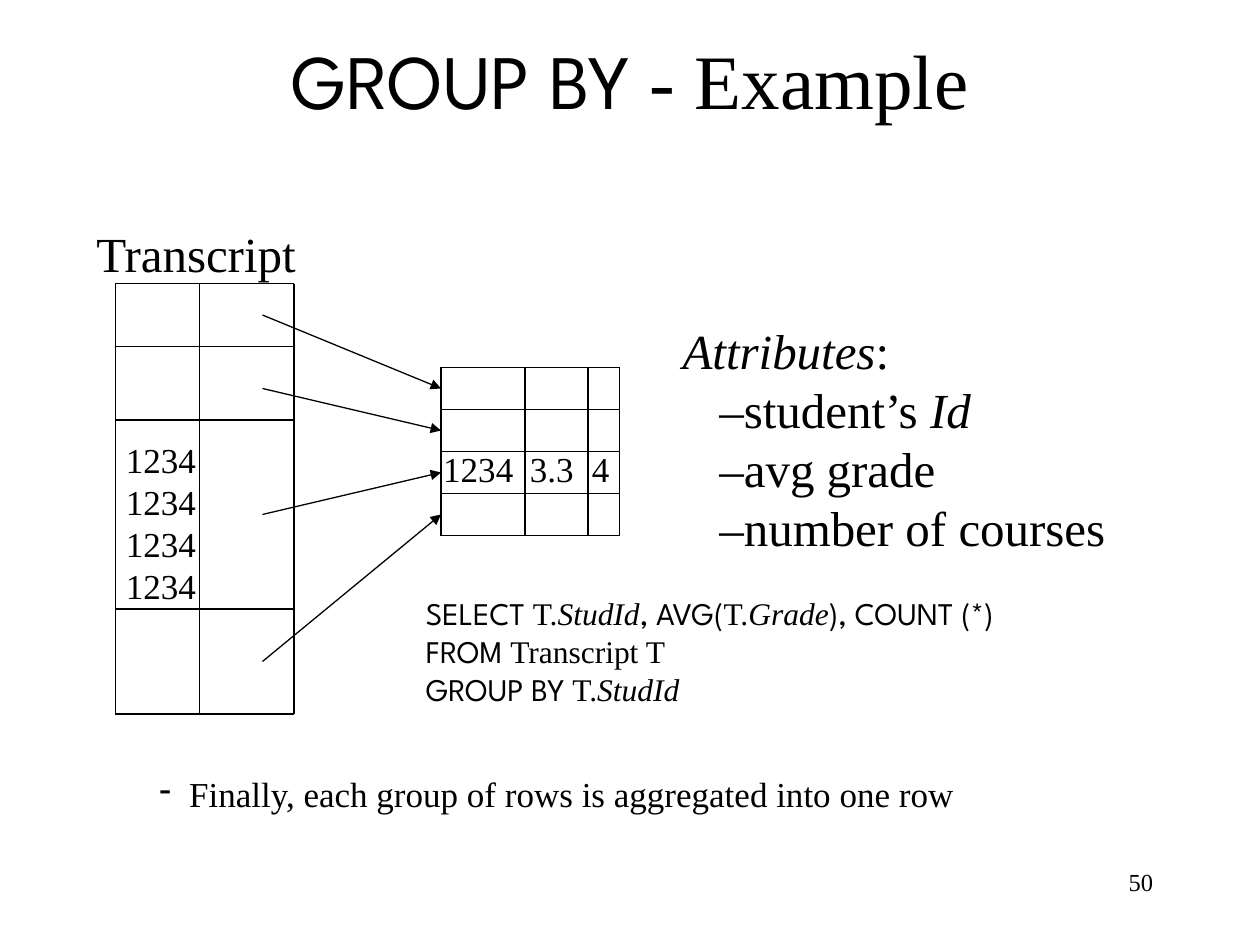
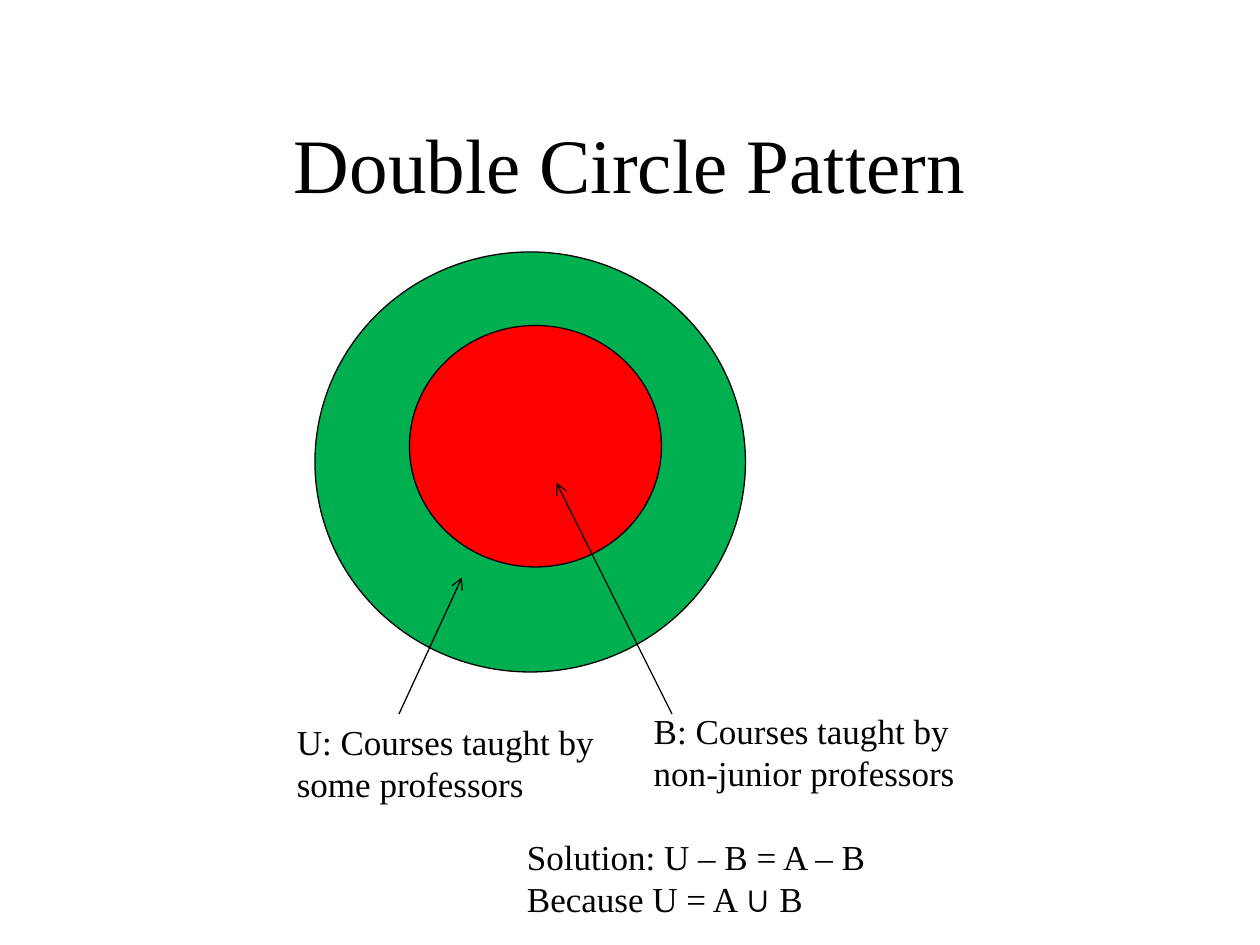
from dataclasses import dataclass
from typing import NamedTuple

from lxml.etree import SubElement
from pptx import Presentation
from pptx.dml.color import RGBColor
from pptx.enum.shapes import MSO_CONNECTOR, MSO_SHAPE
from pptx.enum.text import MSO_ANCHOR, MSO_AUTO_SIZE, PP_ALIGN
from pptx.oxml.ns import qn
from pptx.slide import Slide
from pptx.util import Pt

BLACK = RGBColor(0x00, 0x00, 0x00)
WHITE = RGBColor(0xFF, 0xFF, 0xFF)
GREEN = RGBColor(0x00, 0xB0, 0x50)
RED = RGBColor(0xFF, 0x00, 0x00)
SERIF = "Times New Roman"
SANS = "League Spartan"
STROKE = Pt(0.75)


class Run(NamedTuple):
    text: str
    font: str = SERIF
    slant: bool = False


@dataclass
class Line:
    runs: list[Run]
    indent: float = 0
    bullet: str = ""
    tabs: tuple[float, ...] = ()


@dataclass
class Box:
    left: float
    top: float
    width: float
    height: float
    lines: list[Line]
    size: float = 20
    align: PP_ALIGN = PP_ALIGN.LEFT
    wrap: bool = False
    middle: bool = False


class Arrow(NamedTuple):
    start: tuple[float, float]
    end: tuple[float, float]
    head: str = ""


class Grid(NamedTuple):
    cols: list[float]
    rows: list[float]


class Disc(NamedTuple):
    left: float
    top: float
    width: float
    height: float
    color: RGBColor


def plain(*texts: str, indent: float = 0) -> list[Line]:
    return [Line([Run(text)], indent) for text in texts]


def draw_box(slide: Slide, box: Box) -> None:
    shape = slide.shapes.add_textbox(Pt(box.left), Pt(box.top), Pt(box.width), Pt(box.height))
    frame = shape.text_frame
    frame.word_wrap = box.wrap
    if box.middle:
        frame.vertical_anchor = MSO_ANCHOR.MIDDLE
    else:
        frame.auto_size = MSO_AUTO_SIZE.SHAPE_TO_FIT_TEXT
    for place, line in enumerate(box.lines):
        para = frame.paragraphs[0] if place == 0 else frame.add_paragraph()
        para.alignment = box.align
        props = para._p.get_or_add_pPr()
        if line.indent:
            props.set("marL", str(Pt(line.indent)))
        if line.bullet:
            props.set("indent", str(-Pt(line.indent)))
            SubElement(props, qn("a:buChar"), char=line.bullet)
        if line.tabs:
            stops = SubElement(props, qn("a:tabLst"))
            for stop in line.tabs:
                SubElement(stops, qn("a:tab"), pos=str(Pt(stop)), algn="l")
        for part in line.runs:
            run = para.add_run()
            run.text = part.text
            run.font.name = part.font
            run.font.size = Pt(box.size)
            run.font.italic = part.slant
            run.font.color.rgb = BLACK


def draw_title(slide: Slide, top: float, runs: list[Run]) -> None:
    draw_box(slide, Box(54, top, 612, 90, [Line(runs)], 44, PP_ALIGN.CENTER, True, True))


def draw_line(slide: Slide, item: Arrow) -> None:
    ends = [Pt(value) for value in (*item.start, *item.end)]
    line = slide.shapes.add_connector(MSO_CONNECTOR.STRAIGHT, *ends)
    line.line.color.rgb = BLACK
    line.line.width = STROKE
    props = line._element.spPr
    if item.head:
        SubElement(props.find(qn("a:ln")), qn("a:tailEnd"), type=item.head)
    SubElement(props, qn("a:effectLst"))


def draw_grid(slide: Slide, grid: Grid) -> None:
    for x in grid.cols:
        draw_line(slide, Arrow((x, grid.rows[0]), (x, grid.rows[-1])))
    for y in grid.rows:
        draw_line(slide, Arrow((grid.cols[0], y), (grid.cols[-1], y)))


def draw_disc(slide: Slide, disc: Disc) -> None:
    shape = slide.shapes.add_shape(
        MSO_SHAPE.OVAL, Pt(disc.left), Pt(disc.top), Pt(disc.width), Pt(disc.height)
    )
    shape.shadow.inherit = False
    shape.fill.solid()
    shape.fill.fore_color.rgb = disc.color
    shape.line.color.rgb = BLACK
    shape.line.width = STROKE


def build_group(slide: Slide) -> None:
    source = Grid([66, 114, 168], [162, 198, 240, 348, 408])
    result = Grid([252, 300, 336, 354], [210 + 24 * row for row in range(5)])
    draw_title(slide, 0, [Run("GROUP BY", SANS), Run(" - Example")])
    for grid in (source, result):
        draw_grid(slide, grid)
    for row, start in enumerate((180, 222, 294, 378)):
        end = result.rows[row] + 12
        draw_line(slide, Arrow((150, start), (result.cols[0], end), "triangle"))

    query = [
        Line([
            Run("SELECT ", SANS), Run("T."), Run("StudId", slant=True),
            Run(", AVG(", SANS), Run("T."), Run("Grade", slant=True),
            Run("), COUNT (*)", SANS),
        ]),
        Line([Run("FROM ", SANS), Run("Transcript T")]),
        Line([Run("GROUP BY ", SANS), Run("T."), Run("StudId", slant=True)]),
    ]
    fields = [
        Line([Run("Attributes", slant=True), Run(":")]),
        Line([Run("–student’s "), Run("Id", slant=True)], 21),
        *plain("–avg grade", "–number of courses", indent=21),
    ]
    totals = [Line([Run("1234\t3.3\t4")], tabs=(49.5, 85))]
    final = [Line([Run("Finally, each group of rows is aggregated into one row")], 17, "-")]
    for box in (
        Box(516, 492, 150, 36, plain("50"), 14, PP_ALIGN.RIGHT, True),
        Box(236.2, 336, 423, 72, query, 18, wrap=True),
        Box(48, 124.2, 129, 41, plain("Transcript"), 28),
        Box(383, 179.6, 262, 142, fields, 28, wrap=True),
        Box(246.2, 252, 116, 31.5, totals, wrap=True),
        Box(64.8, 247, 62, 103.7, plain(*["1234"] * 4), wrap=True),
        Box(84, 438, 546, 31.5, final, wrap=True),
    ):
        draw_box(slide, box)


def build_rings(slide: Slide) -> None:
    draw_title(slide, 48, [Run("Double Circle Pattern")])
    for disc in (Disc(180, 144, 246, 240, GREEN), Disc(234, 186, 144, 138, RED)):
        draw_disc(slide, disc)
    proof = [
        *plain("Solution: U – B = A – B"),
        Line([Run("Because U = A "), Run("∪", "Arial"), Run(" B")]),
    ]
    for box in (
        Box(162.5, 408, 189.5, 55.7, plain("U: Courses taught by", "some professors")),
        Box(366.5, 402, 188, 55.7, plain("B: Courses taught by", "non-junior professors")),
        Box(294, 474, 214.5, 55.7, proof),
    ):
        draw_box(slide, box)
    for start, end in (((228, 408), (264, 330)), ((384, 408), (318, 276))):
        draw_line(slide, Arrow(start, end, "arrow"))


def main() -> None:
    deck = Presentation()
    deck.slide_width = Pt(720)
    deck.slide_height = Pt(540)
    for build in (build_group, build_rings):
        slide = deck.slides.add_slide(deck.slide_layouts[6])
        slide.background.fill.solid()
        slide.background.fill.fore_color.rgb = WHITE
        build(slide)
    deck.save("out.pptx")


if __name__ == "__main__":
    main()
